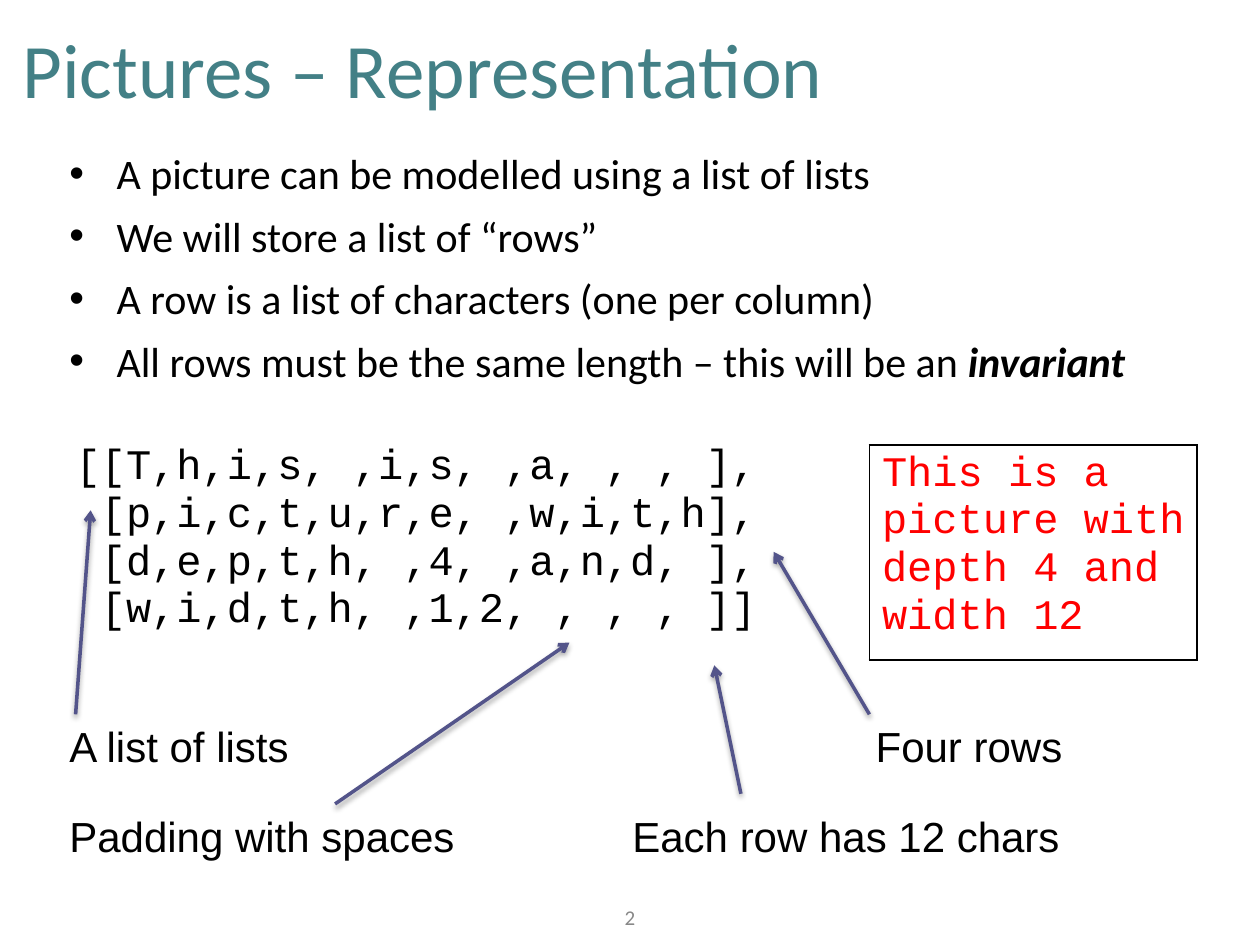
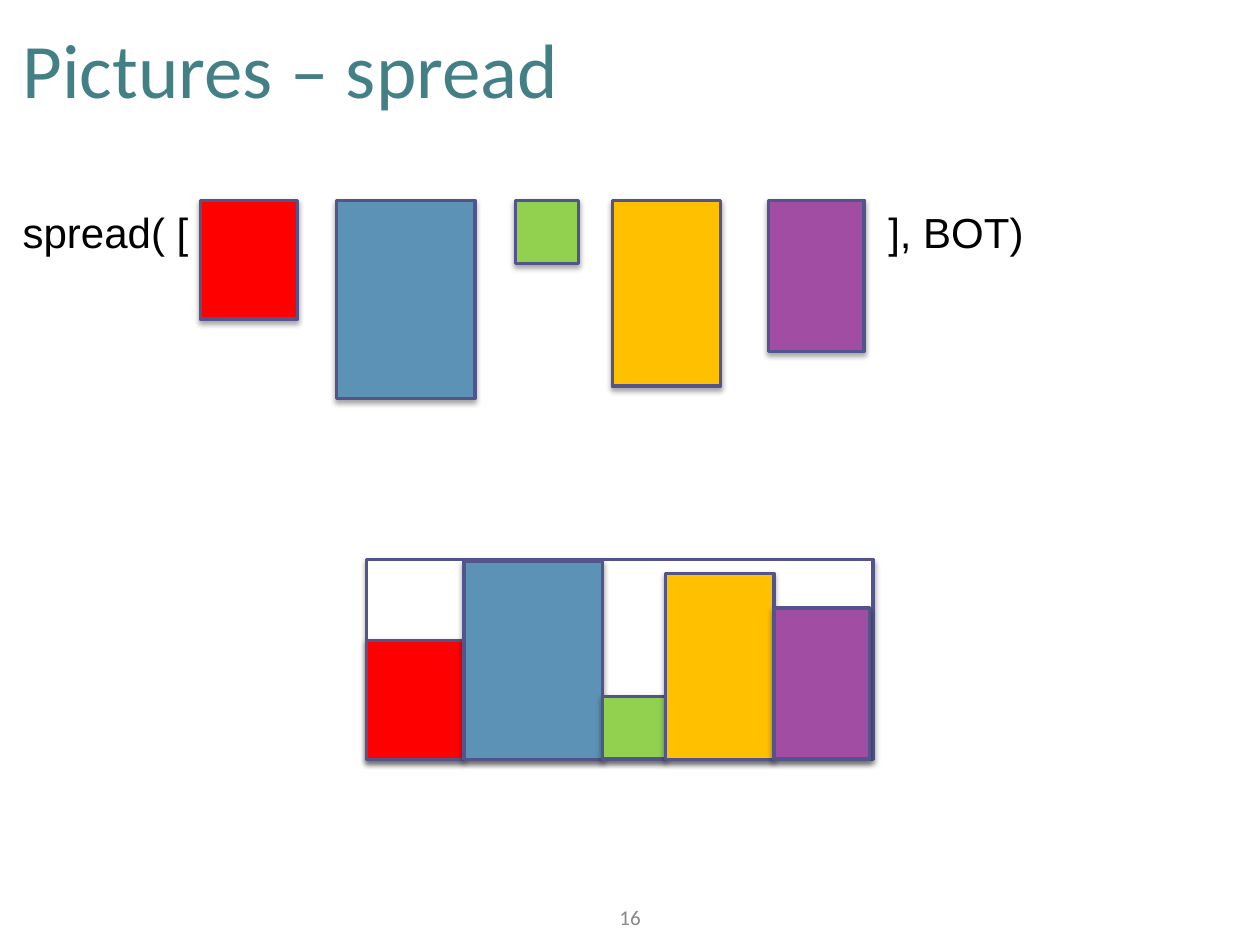
from dataclasses import dataclass
from typing import NamedTuple

from lxml import etree
from pptx import Presentation
from pptx.dml.color import RGBColor
from pptx.enum.shapes import MSO_CONNECTOR, MSO_SHAPE
from pptx.enum.text import MSO_ANCHOR, MSO_AUTO_SIZE, PP_ALIGN
from pptx.oxml.ns import qn
from pptx.util import Pt

RECTANGLE = MSO_SHAPE.RECTANGLE
STRAIGHT = MSO_CONNECTOR.STRAIGHT
TOP, MIDDLE = MSO_ANCHOR.TOP, MSO_ANCHOR.MIDDLE
GROW, FIXED = MSO_AUTO_SIZE.SHAPE_TO_FIT_TEXT, MSO_AUTO_SIZE.NONE
LEFT, CENTER = PP_ALIGN.LEFT, PP_ALIGN.CENTER

TEAL = RGBColor(0x43, 0x80, 0x86)
BLACK = RGBColor(0, 0, 0)
WHITE = RGBColor(0xFF, 0xFF, 0xFF)
GRAY = RGBColor(0x88, 0x88, 0x88)
INDIGO = RGBColor(0x53, 0x54, 0x8A)
RED = RGBColor(0xFF, 0, 0)
BLUE = RGBColor(0x5C, 0x92, 0xB5)
GREEN = RGBColor(0x92, 0xD0, 0x50)
AMBER = RGBColor(0xFF, 0xC0, 0)
PURPLE = RGBColor(0xA0, 0x4D, 0xA3)

INSET = 3.6
OUTLINE = 2
LABEL_HEIGHT = 36


class Box(NamedTuple):
    """Left, top, width and height in points."""
    left: float
    top: float
    width: float
    height: float


class Run(NamedTuple):
    """A stretch of text, with or without emphasis."""
    text: str
    strong: bool = False


class Arrow(NamedTuple):
    """Start and end of an arrow in points."""
    x1: float
    y1: float
    x2: float
    y2: float


@dataclass(frozen=True)
class Style:
    """Font settings of a text."""
    font: str
    size: float
    color: RGBColor


@dataclass(frozen=True)
class Tile:
    """One picture handed to spread: its place in the list, size and colour."""
    left: float
    width: float
    height: float
    color: RGBColor


TITLE = Style("Calibri", 44, TEAL)
BODY = Style("Calibri", 24, BLACK)
PAGE = Style("Calibri", 12, GRAY)
LABEL = Style("Arial", 24, BLACK)
CODE = Style("Courier New", 24, BLACK)
RESULT = Style("Courier New", 24, RED)

BULLETS = [
    [Run("A picture can be modelled using a list of lists")],
    [Run("We will store a list of “rows”")],
    [Run("A row is a list of characters (one per column)")],
    [Run("All rows must be the same length – this will be an "), Run("invariant", True)],
]
CODE_ROWS = [
    [Run("[[T,h,i,s, ,i,s, ,a, , , ],")],
    [Run(" [p,i,c,t,u,r,e, ,w,i,t,h],")],
    [Run(" [d,e,p,t,h, ,4, ,a,n,d, ],")],
    [Run(" [w,i,d,t,h, ,1,2, , , , ]]")],
]
NOTES = [
    ("A list of lists", 36, 408.2, 135.4),
    ("Four rows", 496.8, 408.2, 115.2),
    ("Each row has 12 chars", 357.8, 459.4, 254.2),
    ("Padding with spaces", 36, 459.4, 229.7),
]
ARROWS = [
    Arrow(43.2, 408.2, 51.8, 291.6),
    Arrow(191.5, 459.4, 325.4, 367.2),
    Arrow(496.8, 408.2, 442.1, 315.4),
    Arrow(423.4, 453.6, 408.2, 380.2),
]
TILES = [
    Tile(114.5, 55.6, 67.9, RED),
    Tile(192.2, 79.2, 113.2, BLUE),
    Tile(294.5, 36, 36, GREEN),
    Tile(349.9, 61.9, 106.2, AMBER),
    Tile(439.2, 54.7, 86.4, PURPLE),
]
LIST_TOP = 114.5
SPREAD = Box(209.5, 319.7, 289.4, 114.2)


def points(values):
    """Turn numbers into lengths."""
    return [Pt(value) for value in values]


def fill_paragraphs(frame, paragraphs, style, align=LEFT):
    """Write paragraphs run by run into a text frame."""
    for index, runs in enumerate(paragraphs):
        paragraph = frame.add_paragraph() if index else frame.paragraphs[0]
        paragraph.alignment = align
        for part in runs:
            run = paragraph.add_run()
            run.text = part.text
            font = run.font
            font.name, font.size = style.font, Pt(style.size)
            font.color.rgb = style.color
            if part.strong:
                font.bold = font.italic = True


def add_text(slide, box, paragraphs, style, anchor=TOP, align=LEFT, wrap=True, fit=FIXED):
    """Add a text box with the common inset."""
    holder = slide.shapes.add_textbox(*points(box))
    frame = holder.text_frame
    frame.margin_left = frame.margin_right = Pt(INSET)
    frame.margin_top = frame.margin_bottom = Pt(INSET)
    frame.word_wrap, frame.auto_size = wrap, fit
    frame.vertical_anchor = anchor
    fill_paragraphs(frame, paragraphs, style, align)
    return holder


def add_label(slide, text, left, top, width, wrap=False):
    """Add a one-line label."""
    add_text(slide, Box(left, top, width, LABEL_HEIGHT), [[Run(text)]], LABEL,
             wrap=wrap, fit=GROW)


def add_bullets(slide, box, items):
    """Add a bulleted list with a hanging indent."""
    holder = add_text(slide, box, items, BODY)
    for paragraph in holder.text_frame.paragraphs:
        paragraph.space_before = Pt(7)
    for properties in holder.element.iter(qn("a:pPr")):
        properties.set("marL", str(Pt(27)))
        properties.set("indent", str(-Pt(27)))
        etree.SubElement(properties, qn("a:buFont"), typeface="Arial")
        etree.SubElement(properties, qn("a:buChar"), char="•")


def add_shadow(effects):
    """Put the soft drop shadow into an effect list."""
    shadow = etree.SubElement(effects, qn("a:outerShdw"), blurRad=str(Pt(3)),
                              dist=str(Pt(1.8)), dir="5400000", rotWithShape="0")
    color = etree.SubElement(shadow, qn("a:srgbClr"), val=str(BLACK))
    etree.SubElement(color, qn("a:alpha"), val="35000")


def add_arrow(slide, arrow):
    """Draw an arrow with an open head at its end."""
    connector = slide.shapes.add_connector(STRAIGHT, *points(arrow))
    connector.line.color.rgb = INDIGO
    connector.line.width = Pt(OUTLINE)
    properties = connector.element.spPr
    etree.SubElement(properties.find(qn("a:ln")), qn("a:tailEnd"), type="arrow")
    add_shadow(etree.SubElement(properties, qn("a:effectLst")))


def add_rectangle(slide, box, color):
    """Draw an outlined rectangle with a soft shadow."""
    rectangle = slide.shapes.add_shape(RECTANGLE, *points(box))
    rectangle.fill.solid()
    rectangle.fill.fore_color.rgb = color
    rectangle.line.color.rgb = INDIGO
    rectangle.line.width = Pt(OUTLINE)
    rectangle.shadow.inherit = False
    add_shadow(rectangle.element.spPr.find(qn("a:effectLst")))


def add_panel(slide, box, paragraphs, style, bordered):
    """Add a table of one cell, with or without a faint border."""
    holder = slide.shapes.add_table(1, 1, *points(box))
    table = holder.table
    table.first_row = table.horz_banding = False
    cell = table.cell(0, 0)
    cell.fill.background()
    fill_paragraphs(cell.text_frame, paragraphs, style)
    properties = next(holder.element.iter(qn("a:tcPr")))
    for index, side in enumerate(("lnL", "lnR", "lnT", "lnB")):
        edge = etree.Element(qn(f"a:{side}"), w=str(Pt(1)))
        if bordered:
            fill = etree.SubElement(edge, qn("a:solidFill"))
            color = etree.SubElement(fill, qn("a:srgbClr"), val=str(BLACK))
            etree.SubElement(color, qn("a:alpha"), val="30000")
        else:
            etree.SubElement(edge, qn("a:noFill"))
        properties.insert(index, edge)


def add_frame(slide, title, number):
    """Add the title and page number that every slide carries."""
    add_text(slide, Box(9.36, 7.2, 701.28, 62.64), [[Run(title)]], TITLE, anchor=MIDDLE)
    add_text(slide, Box(349.56, 513.36, 20.88, 20.88), [[Run(str(number))]], PAGE,
             anchor=MIDDLE, align=CENTER, wrap=False, fit=GROW)


def build_representation(slide):
    """Show how a picture is stored as a list of rows."""
    add_frame(slide, "Pictures – Representation", 2)
    add_bullets(slide, Box(36, 80.64, 648, 459.36), BULLETS)
    add_panel(slide, Box(496.8, 254.16, 187.2, 123.12),
              [[Run("This is a picture with depth 4 and width 12")]], RESULT, True)
    add_panel(slide, Box(36, 250.56, 406.08, 130.32), CODE_ROWS, CODE, False)
    for note in NOTES:
        add_label(slide, *note)
    for arrow in ARROWS:
        add_arrow(slide, arrow)


def build_spread(slide):
    """Show tiles in a list, then side by side on a common bottom line."""
    add_rectangle(slide, SPREAD, WHITE)
    add_frame(slide, "Pictures – spread", 16)
    add_label(slide, "spread( [", 9.36, LIST_TOP, 113, wrap=True)
    add_label(slide, "], BOT)", 504, LIST_TOP, 99.4, wrap=True)
    left, bottom = SPREAD.left, SPREAD.top + SPREAD.height
    for tile in TILES:
        size = (tile.width, tile.height)
        add_rectangle(slide, Box(tile.left, LIST_TOP, *size), tile.color)
        add_rectangle(slide, Box(left, bottom - tile.height, *size), tile.color)
        left += tile.width


def main():
    """Build and save the presentation."""
    deck = Presentation()
    deck.slide_width, deck.slide_height = Pt(720), Pt(540)
    blank = deck.slide_layouts[6]
    for build in (build_representation, build_spread):
        build(deck.slides.add_slide(blank))
    deck.save("out.pptx")


main()
